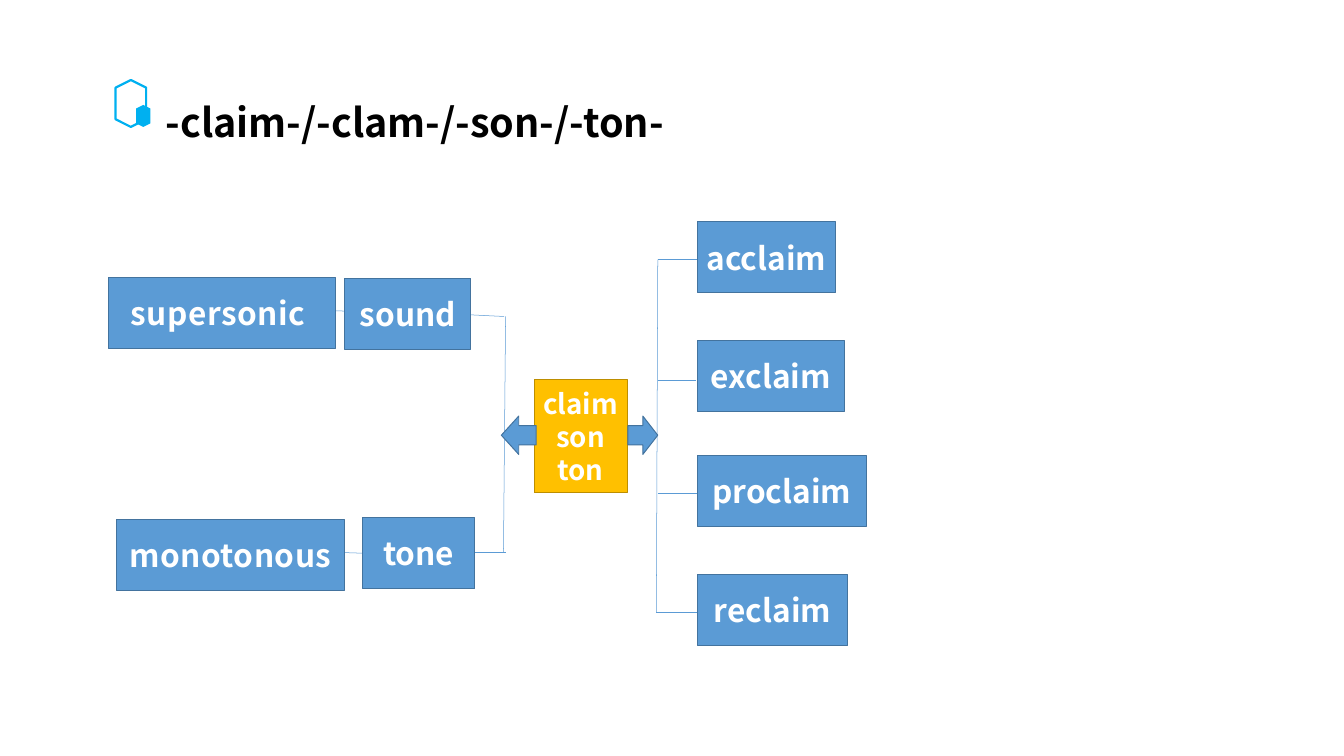
from lxml.etree import SubElement
from pptx import Presentation
from pptx.dml.color import RGBColor
from pptx.enum.shapes import MSO_CONNECTOR, MSO_SHAPE
from pptx.enum.text import MSO_ANCHOR, MSO_AUTO_SIZE, PP_ALIGN
from pptx.oxml.ns import qn
from pptx.util import Inches, Pt

FONT = "Noto Sans CJK SC"
BLACK = RGBColor(0x00, 0x00, 0x00)
WHITE = RGBColor(0xFF, 0xFF, 0xFF)
BLUE = RGBColor(0x5B, 0x9B, 0xD5)
DARK_BLUE = RGBColor(0x43, 0x73, 0x9E)
CYAN = RGBColor(0x00, 0xB0, 0xF0)
AMBER = RGBColor(0xFF, 0xC0, 0x00)
DARK_AMBER = RGBColor(0xBD, 0x8E, 0x00)


def add_block(kind, left, top, width, height, fill=BLUE, outline=DARK_BLUE):
    block = slide.shapes.add_shape(
        kind, Inches(left), Inches(top), Inches(width), Inches(height))
    block.shadow.inherit = False
    block.fill.solid()
    block.fill.fore_color.rgb = fill
    block.line.color.rgb = outline
    block.line.width = Pt(1)
    return block


def write_lines(frame, lines, size, color, align):
    frame.text = "\n".join(lines)
    frame.vertical_anchor = MSO_ANCHOR.MIDDLE
    for paragraph in frame.paragraphs:
        paragraph.alignment = align
        paragraph.font.name = FONT
        paragraph.font.size = Pt(size)
        paragraph.font.bold = True
        paragraph.font.color.rgb = color


prs = Presentation()
prs.slide_width = Inches(18.9)
prs.slide_height = Inches(10.63)
slide = prs.slides.add_slide(prs.slide_layouts[5])

# Title
title = slide.shapes.title
title.left, title.top = Inches(2.23), Inches(1.32)
title.width, title.height = Inches(7.92), Inches(0.77)
title.text_frame.auto_size = MSO_AUTO_SIZE.NONE
write_lines(title.text_frame, ["-claim-/-clam-/-son-/-ton-"], 40, BLACK, PP_ALIGN.LEFT)

# Hexagon emblem beside the title
emblem = slide.shapes.add_group_shape()
for left, top, width, height, filled in [
    (1.51, 1.24, 0.66, 0.43, False),
    (1.86, 1.53, 0.31, 0.2, True),
]:
    hexagon = emblem.shapes.add_shape(
        MSO_SHAPE.HEXAGON, Inches(left), Inches(top), Inches(width), Inches(height))
    hexagon.rotation = 90
    hexagon.shadow.inherit = False
    if filled:
        hexagon.fill.solid()
        hexagon.fill.fore_color.rgb = CYAN
        hexagon.line.fill.background()
    else:
        hexagon.fill.background()
        hexagon.line.color.rgb = CYAN
        hexagon.line.width = Pt(2.25)

# Branch lines: trunks first, then the twigs to each word
for x1, y1, x2, y2 in [
    (7.11, 4.45, 7.08, 7.77),
    (9.25, 3.65, 9.23, 8.61),
    (6.47, 4.42, 7.09, 4.45),
    (6.61, 7.77, 7.11, 7.77),
    (9.25, 3.65, 9.81, 3.65),
    (9.25, 5.34, 9.79, 5.34),
    (9.26, 6.94, 9.81, 6.94),
    (9.23, 8.61, 9.81, 8.61),
    (4.72, 4.37, 5.02, 4.38),
    (4.84, 7.77, 5.14, 7.78),
]:
    branch = slide.shapes.add_connector(
        MSO_CONNECTOR.STRAIGHT, Inches(x1), Inches(y1), Inches(x2), Inches(y2))
    branch.line.color.rgb = BLUE
    branch.line.width = Pt(0.5)
    SubElement(branch._element.spPr, qn("a:effectLst"))

# Word boxes, with letter spacing in hundredths of a point
for word, left, top, width, spacing in [
    ("supersonic ", 1.52, 3.9, 3.2, 50),
    ("sound", 4.85, 3.91, 1.77, 0),
    ("monotonous", 1.64, 7.3, 3.2, 50),
    ("tone", 5.1, 7.28, 1.58, 0),
    ("acclaim", 9.81, 3.12, 1.94, 0),
    ("exclaim", 9.81, 4.79, 2.06, 0),
    ("proclaim", 9.81, 6.4, 2.37, 0),
    ("reclaim", 9.81, 8.08, 2.11, 0),
]:
    word_box = add_block(MSO_SHAPE.RECTANGLE, left, top, width, 1)
    write_lines(word_box.text_frame, [word], 32, WHITE, PP_ALIGN.CENTER)
    if spacing:
        run = word_box.text_frame.paragraphs[0].runs[0]
        run._r.get_or_add_rPr().set("spc", str(spacing))

# Central roots and the arrows leading out
roots = add_block(MSO_SHAPE.RECTANGLE, 7.51, 5.34, 1.31, 1.59, AMBER, DARK_AMBER)
write_lines(roots.text_frame, ["claim", "son", "ton"], 28, WHITE, PP_ALIGN.CENTER)
add_block(MSO_SHAPE.LEFT_ARROW, 7.05, 5.85, 0.49, 0.54)
add_block(MSO_SHAPE.RIGHT_ARROW, 8.83, 5.85, 0.42, 0.54)

prs.save("out.pptx")
